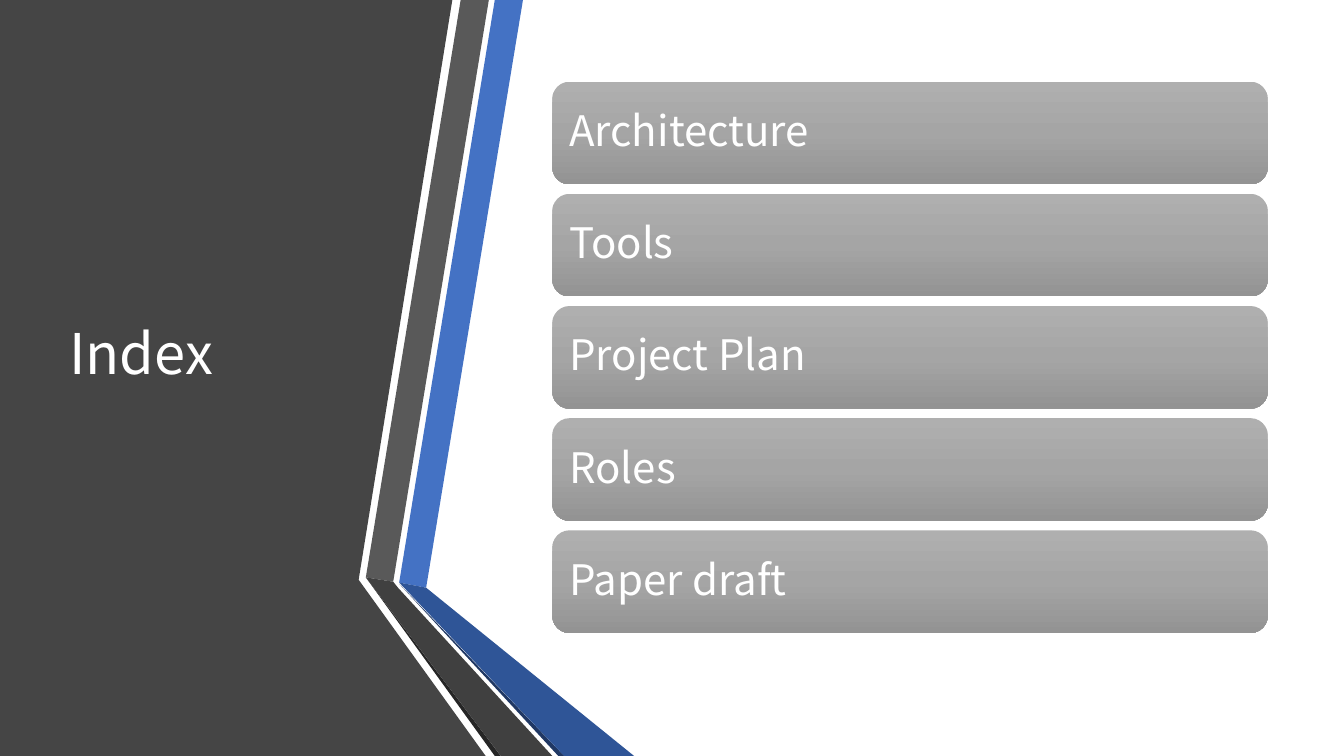
from copy import deepcopy
from pptx import Presentation
from pptx.dml.color import RGBColor as RGB
from pptx.enum.shapes import MSO_SHAPE as Kind
from pptx.enum.text import MSO_ANCHOR as Anchor, MSO_AUTO_SIZE as Fit, PP_ALIGN as Align
from pptx.util import Cm, Pt

WHITE = RGB(0xFF, 0xFF, 0xFF)
COAL = RGB(0x45, 0x45, 0x45)
BLUE = RGB(0x44, 0x72, 0xC4)
GREY = RGB(0x59, 0x59, 0x59)
INK = RGB(0x26, 0x26, 0x26)
NAVY = RGB(0x20, 0x38, 0x64)
DEEP = RGB(0x2F, 0x55, 0x97)
DARK = RGB(0x40, 0x40, 0x40)
SHADE = [RGB(0xAF, 0xAF, 0xAF), RGB(0xA5, 0xA5, 0xA5), RGB(0x93, 0x93, 0x93)]

FACE = "Noto Sans CJK KR"
WIDE, HIGH = 33.87, 19.05
TOPICS = ["Architecture", "Tools", "Project Plan", "Roles", "Paper draft"]
PANEL = [(0, 0), (11.4, 0), (9.04, 14.61), (12.24, HIGH), (0, HIGH)]
BANDS = [
    (BLUE, [(10.06, 14.68), (10.74, 14.81), (13.18, 0), (12.47, 0)]),
    (GREY, [(12.32, 0), (11.61, 0), (9.22, 14.55), (9.91, 14.66)]),
    (INK, [(9.22, 14.55), (12.47, HIGH), (12.62, HIGH)]),
    (NAVY, [(10.06, 14.71), (14.07, HIGH), (14.22, HIGH)]),
    (DEEP, [(10.06, 14.68), (14.22, HIGH), (15.98, HIGH), (10.74, 14.81)]),
    (DARK, [(13.92, HIGH), (10.03, 14.81), (9.91, 14.66), (9.22, 14.55), (12.62, HIGH)]),
]


def apply(item, form):
    """Set each attribute named in a dict of format values."""
    for key, value in form.items():
        setattr(item, key, value)


def write(shape, text, size, pad):
    """Put one line of white text, left and middle, in a shape."""
    frame = shape.text_frame
    frame.text = text
    apply(frame, {"word_wrap": True, "auto_size": Fit.NONE, "vertical_anchor": Anchor.MIDDLE,
                  "margin_left": Cm(pad), "margin_right": Cm(pad)})
    line = frame.paragraphs[0]
    apply(line, {"alignment": Align.LEFT, "line_spacing": 0.9})
    apply(line.font, {"name": FACE, "size": Pt(size), "bold": False})
    line.font.color.rgb = WHITE


def draw(shapes, color, dots, left, top):
    """Draw a filled outline offset from the given corner."""
    spots = [(Cm(left + x), Cm(top + y)) for x, y in dots]
    pen = shapes.build_freeform(*spots[0])
    pen.add_line_segments(spots[1:], close=True)
    shape = pen.convert_to_shape()
    shape.shadow.inherit = False
    shape.fill.solid()
    shape.fill.fore_color.rgb = color
    shape.line.fill.background()


def side(slide, left, top, width, height):
    """Build the dark panel, its folded bands and the title."""
    shapes = slide.shapes
    for color, dots in [(COAL, PANEL)] + BANDS:
        draw(shapes, color, dots, left, top)
    title = shapes.title
    apply(title, {"left": Cm(left + 1.5), "top": Cm(top + 1.9),
                  "width": Cm(width - 8.26), "height": Cm(height - 4.88)})
    write(title, "Index", 40, 0.25)
    shapes.element.append(title.element)


def shade(fill):
    """Give a fill the three grey stops from top to bottom."""
    fill.gradient()
    fill.gradient_angle = 270
    first = fill.gradient_stops[0]
    first.color.rgb = SHADE[0]
    node = first._gs
    node.addnext(deepcopy(node))
    for rank, (stop, color) in enumerate(zip(fill.gradient_stops, SHADE)):
        stop.position = rank / 2
        stop.color.rgb = color


def index(slide, left, top, width, height):
    """Stack one rounded bar per topic evenly in the box."""
    gap = 0.24
    tall = (height + gap) / len(TOPICS) - gap
    for row, topic in enumerate(TOPICS):
        bar = slide.shapes.add_shape(
            Kind.ROUNDED_RECTANGLE, Cm(left), Cm(top + row * (tall + gap)), Cm(width), Cm(tall))
        bar.shadow.inherit = False
        shade(bar.fill)
        bar.line.fill.background()
        write(bar, topic, 30, 0.3)


def main():
    """Build the index slide and save it."""
    deck = Presentation()
    apply(deck, {"slide_width": Cm(WIDE), "slide_height": Cm(HIGH)})
    slide = deck.slides.add_slide(deck.slide_layouts[5])
    side(slide, 0, 0, 15.98, HIGH)
    index(slide, 13.92, 2.06, 18.03, 13.89)
    deck.save("out.pptx")


if __name__ == "__main__":
    main()
